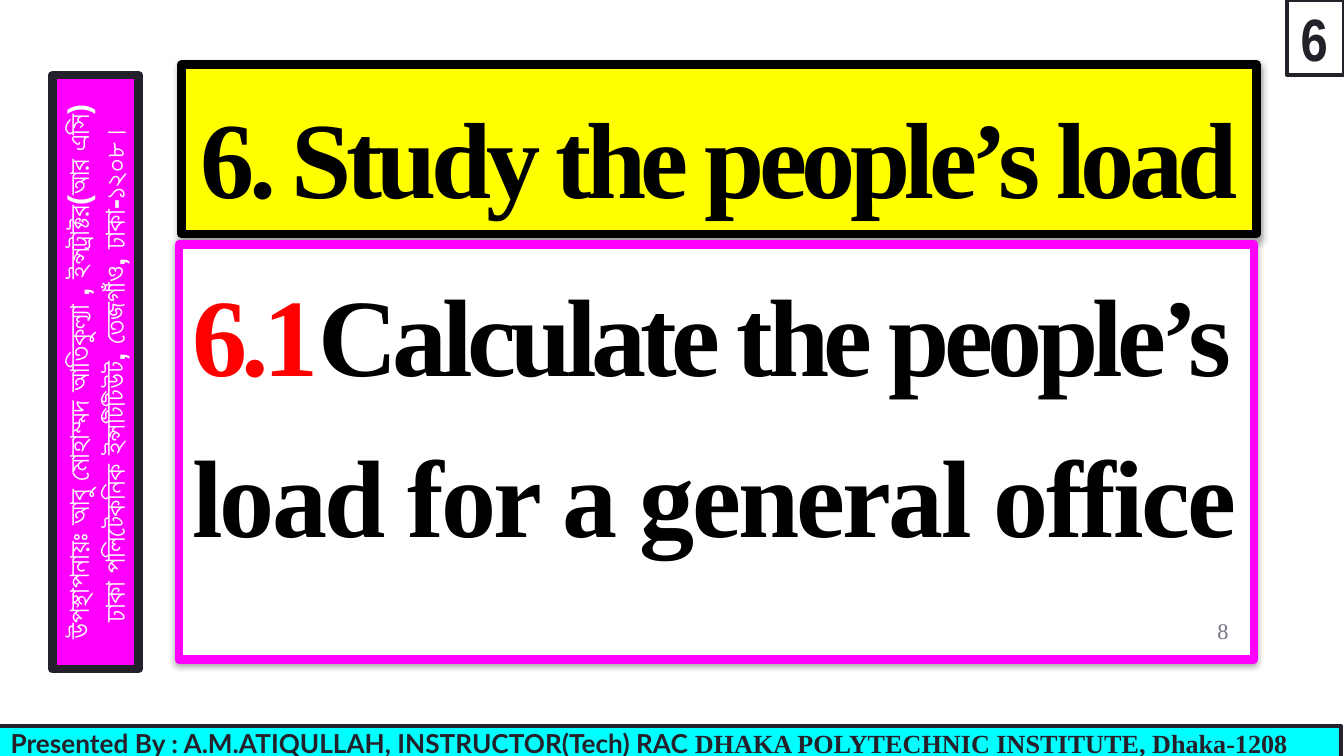
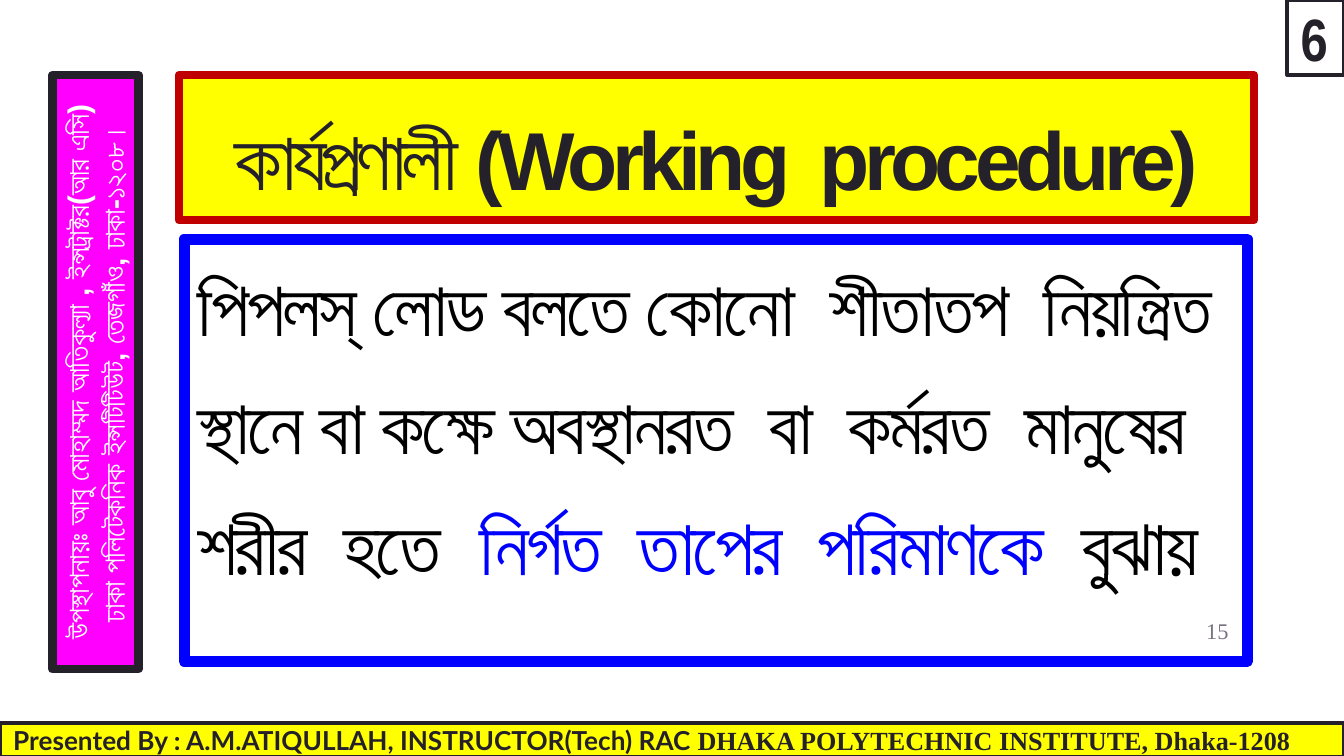
from lxml import etree
from pptx import Presentation
from pptx.dml.color import RGBColor
from pptx.enum.shapes import MSO_SHAPE
from pptx.enum.text import MSO_ANCHOR, MSO_AUTO_SIZE, PP_ALIGN
from pptx.oxml.ns import qn
from pptx.util import Cm, Pt

RECT = MSO_SHAPE.RECTANGLE
TOP, MIDDLE, BOTTOM = MSO_ANCHOR.TOP, MSO_ANCHOR.MIDDLE, MSO_ANCHOR.BOTTOM
LEFT, CENTER, RIGHT = PP_ALIGN.LEFT, PP_ALIGN.CENTER, PP_ALIGN.RIGHT
NO_FIT, GROW = MSO_AUTO_SIZE.NONE, MSO_AUTO_SIZE.SHAPE_TO_FIT_TEXT

INK, BLACK, WHITE, GREY = "25212A", "000000", "FFFFFF", "797281"
YELLOW, MAGENTA, CYAN = "FFFF00", "FF00FF", "00FFFF"
RED, DARK_RED, BLUE = "FF0000", "C00000", "0000FF"
SERIF, SANS, NARROW, LATO = "Times New Roman", "Arial", "Arial Narrow", "Lato"
EVEN = (0.25, 0.25)  # side and top insets, cm
FLAT = (0.25, 0.13)
BODY_INSETS = (0.25, 0.3)

# Content: a run is (text, size, font, colour, bold, letter spacing)
PRESENTER = [
    [("উপস্থাপনায়ঃ আবু মোহাম্মদ আতিকুল্যা , ইন্সট্রাক্টর(আর এসি)", 16, SANS, WHITE, True, 0)],
    [("ঢাকা পলিটেকনিক ইন্সটিটিউট, তেজগাঁও, ঢাকা-১২০৮।", 16, SANS, WHITE, True, 0)],
]
FOOTER = [[
    ("Presented By : A.M.ATIQULLAH, INSTRUCTOR(Tech) RAC ", 14, LATO, INK, True, 0),
    ("DHAKA POLYTECHNIC INSTITUTE, Dhaka-1208", 14, SERIF, INK, True, 0),
]]
CHAPTER = [[("6", 32, NARROW, INK, True, -3)]]

SLIDES = [
    {
        "title": [[("6. Study the people’s load", 58, SERIF, BLACK, True, -3)]],
        "title_box": (3.43, 1.22, 20.32, 3.2),
        "title_line": (BLACK, 4.5),
        "body": [
            [("6.1", 59, SERIF, RED, True, -3),
             ("Calculate the people’s", 59, SERIF, BLACK, True, -3)],
            [("load for a general office", 59, SERIF, BLACK, True, -1.5)],
        ],
        "body_box": (3.38, 4.62, 20.32, 7.85),
        "body_fill": WHITE,
        "body_line": (MAGENTA, 4.5),
        "shadow": True,
        "page": "8",
        "footer_box": (-0.05, 13.72, 25.4, 0.64),
        "footer_fill": CYAN,
    },
    {
        "title": [[("কার্যপ্রণালী (Working  procedure)", 44, SANS, INK, True, -3)]],
        "title_box": (3.38, 1.42, 20.32, 2.74),
        "title_line": (DARK_RED, 4.5),
        "body": [
            [("পিপলস্ লোড বলতে কোনো  শীতাতপ  নিয়ন্ত্রিত", 41, SANS, BLACK, True, -1.5)],
            [("স্থানে বা কক্ষে অবস্থানরত  বা  কর্মরত  মানুষের", 41, SANS, BLACK, True, -1.5)],
            [("শরীর  হতে  ", 42, SANS, BLACK, True, -1.5),
             ("নির্গত  তাপের  পরিমাণকে  ", 42, SANS, BLUE, True, -1.5),
             ("বুঝায়", 42, SANS, BLACK, True, -1.5)],
        ],
        "body_box": (3.48, 4.52, 20.09, 7.98),
        "body_fill": None,
        "body_line": (BLUE, 6),
        "shadow": False,
        "page": "15",
        "footer_box": (0, 13.67, 25.4, 0.64),
        "footer_fill": YELLOW,
    },
]


def rgb(value):
    return RGBColor.from_string(value)


def place(shape, box):
    shape.left, shape.top, shape.width, shape.height = map(Cm, box)


def paint(shape, fill, line, shadow=False):
    """Fill, round-cornered outline and optional soft shadow below."""
    if fill:
        shape.fill.solid()
        shape.fill.fore_color.rgb = rgb(fill)
    else:
        shape.fill.background()
    colour, width = line
    shape.line.color.rgb = rgb(colour)
    shape.line.width = Pt(width)
    properties = shape.element.spPr
    etree.SubElement(properties.find(qn("a:ln")), qn("a:round"))
    shape.shadow.inherit = False
    if shadow:
        outer = etree.SubElement(
            properties.find(qn("a:effectLst")), qn("a:outerShdw"),
            blurRad=str(Pt(3.1)), dist=str(Pt(1.8)), dir="5400000", rotWithShape="0")
        tone = etree.SubElement(outer, qn("a:srgbClr"), val=BLACK)
        etree.SubElement(tone, qn("a:alpha"), val="35000")


def write(shape, paragraphs, anchor=MIDDLE, align=LEFT, insets=EVEN,
          before=0, spacing=1.0, fit=NO_FIT):
    frame = shape.text_frame
    frame.word_wrap = True
    frame.auto_size = fit
    frame.vertical_anchor = anchor
    frame.margin_left = frame.margin_right = Cm(insets[0])
    frame.margin_top = frame.margin_bottom = Cm(insets[1])
    for index, runs in enumerate(paragraphs):
        paragraph = frame.add_paragraph() if index else frame.paragraphs[0]
        paragraph.alignment = align
        paragraph.space_before = Pt(before if index else 0)
        paragraph.line_spacing = spacing
        for text, size, font, colour, bold, tracking in runs:
            run = paragraph.add_run()
            run.text = text
            run.font.size = Pt(size)
            run.font.bold = bold
            run.font.color.rgb = rgb(colour)
            run.font.name = font
            marks = run._r.get_or_add_rPr()
            etree.SubElement(marks, qn("a:cs"), typeface=font)
            if tracking:
                marks.set("spc", str(int(tracking * 100)))


def add_panel(slide, box, fill, line_width, paragraphs, **text_options):
    panel = slide.shapes.add_shape(RECT, *map(Cm, box))
    paint(panel, fill, (INK, line_width))
    write(panel, paragraphs, **text_options)
    return panel


def build_slide(deck, content):
    slide = deck.slides.add_slide(deck.slide_layouts[0])

    # Title and body
    title, body = slide.shapes.title, slide.placeholders[1]
    place(title, content["title_box"])
    paint(title, YELLOW, content["title_line"], content["shadow"])
    write(title, content["title"], BOTTOM, CENTER)
    place(body, content["body_box"])
    paint(body, content["body_fill"], content["body_line"], content["shadow"])
    write(body, content["body"], TOP, insets=BODY_INSETS, before=12, spacing=1.05)

    # Page number
    page = slide.shapes.add_textbox(*map(Cm, (21.95, 11.38, 1.52, 1.09)))
    write(page, [[(content["page"], 12, SERIF, GREY, False, 0)]], align=RIGHT)

    # Presenter band, footer and chapter badge
    presenter = add_panel(slide, (-3.81, 6.22, 11.23, 1.63), MAGENTA, 4.5, PRESENTER,
                          anchor=TOP, align=CENTER, insets=FLAT, fit=GROW)
    presenter.rotation = 270
    add_panel(slide, content["footer_box"], content["footer_fill"], 2, FOOTER, insets=FLAT)
    add_panel(slide, (24.33, 0, 1.07, 1.42), WHITE, 2, CHAPTER)


def main():
    deck = Presentation()
    deck.slide_width, deck.slide_height = Cm(25.4), Cm(14.29)
    for content in SLIDES:
        build_slide(deck, content)
    deck.save("out.pptx")


if __name__ == "__main__":
    main()
